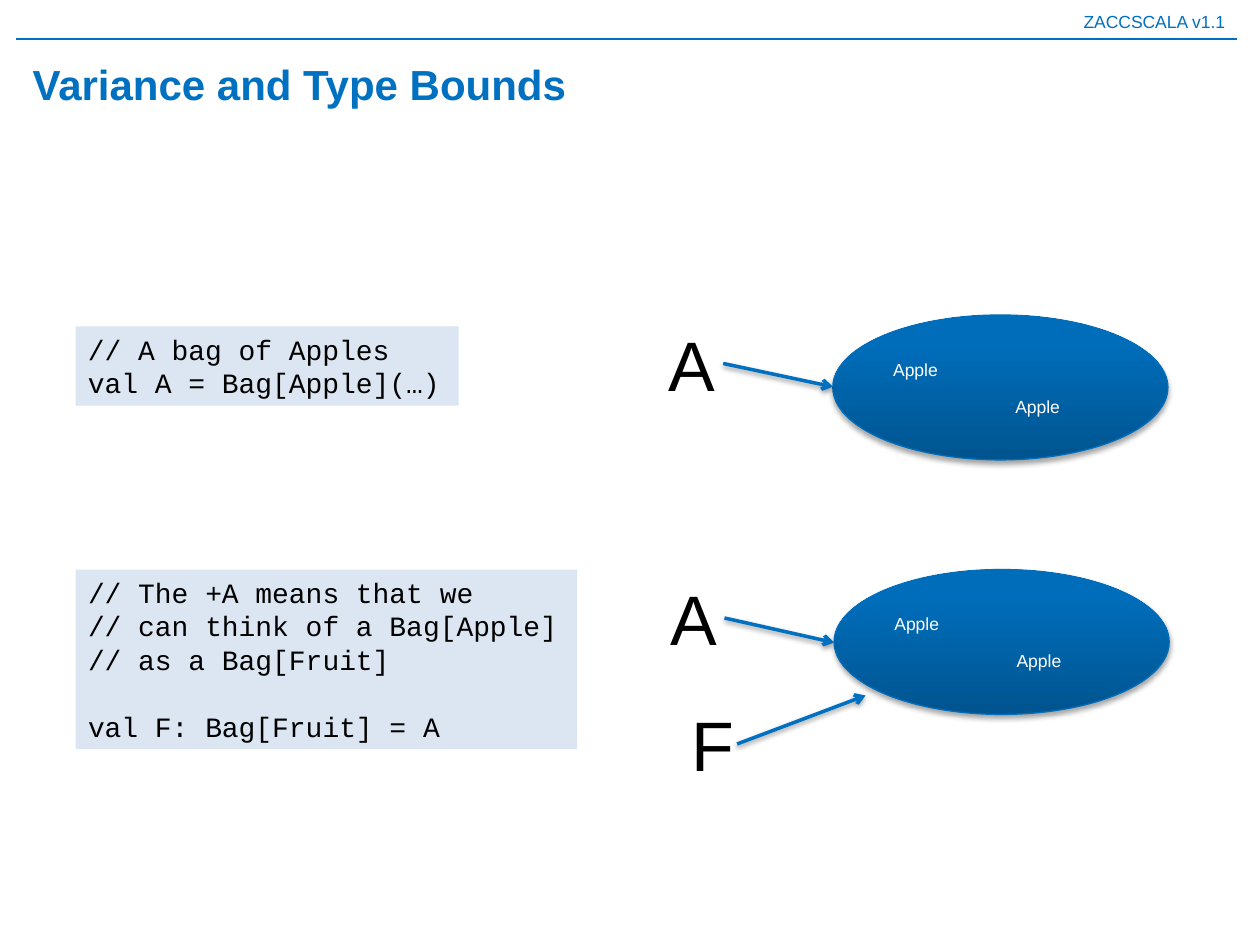
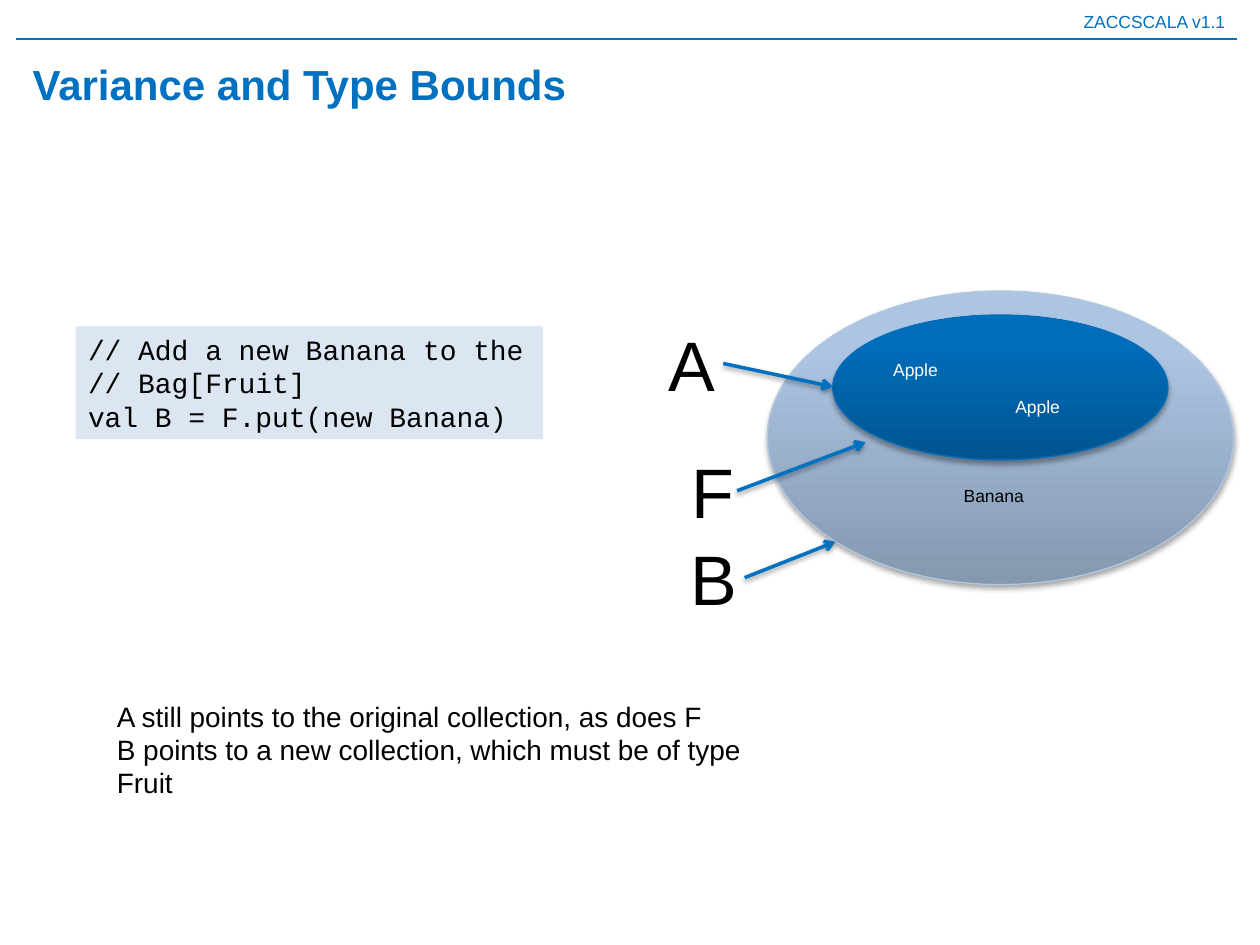
"""Build two slides that explain variance and type bounds with bags of fruit."""
from dataclasses import dataclass

from pptx import Presentation
from pptx.dml.color import RGBColor
from pptx.enum.shapes import MSO_CONNECTOR, MSO_SHAPE
from pptx.enum.text import MSO_ANCHOR, MSO_AUTO_SIZE, PP_ALIGN
from pptx.oxml import parse_xml
from pptx.oxml.ns import nsdecls
from pptx.util import Inches, Pt


@dataclass(frozen=True)
class Theme:
    blue: str = "0070C0"
    black: str = "000000"
    white: str = "FFFFFF"
    code_fill: str = "DCE6F2"
    sans: str = "Arial"
    mono: str = "Courier New"
    title_size: float = 24
    body_size: float = 16
    small_size: float = 10
    letter_size: float = 40
    line_pitch: float = 19.1
    thin: float = 0.75
    thick: float = 2


THEME = Theme()
HEADER = "ZACCSCALA v1.1"
TITLE = "Variance and Type Bounds"
CODE_LEFT = 0.6
LETTER_HEIGHT = 0.77
LETTER_WIDTHS = {"A": 0.53, "B": 0.53, "F": 0.46}

BAG_STYLES = {
    "apples": {"stops": ((0, "00548F"), (80, "006DBA"), (100, "006DBB")), "line": "006EBC"},
    "fruit": {"stops": ((0, "8498AF"), (80, "ACC5E3"), (100, "ACC6E5")), "line": "B3C7E0"},
}
APPLE_BAG_SIZE = (2.66, 1.15)
APPLE_OFFSETS = ((0.38, 0.3), (1.35, 0.59))

SLIDES = [
    {
        "apple_bags": [(6.61, 2.5), (6.62, 4.52)],
        "codes": [
            (2.59, 3.04, ["// A bag of Apples", "val A = Bag[Apple](…)"], 0),
            (4.52, 3.98, ["// The +A means that we", "// can think of a Bag[Apple]",
                          "// as a Bag[Fruit]", "val F: Bag[Fruit] = A"], 1),
        ],
        "pointers": [
            ("A", (5.21, 2.5), (6.61, 3.07)),
            ("A", (5.22, 4.52), (6.62, 5.1)),
            ("F", (5.39, 5.52), (6.87, 5.52)),
        ],
    },
    {
        "fruit_bag": (6.09, 2.31, 3.7, 2.33),
        "banana": (7.55, 3.8, 0.97, 0.4),
        "apple_bags": [(6.61, 2.5)],
        "codes": [
            (2.59, 3.71, ["// Add a new Banana to the", "// Bag[Fruit]",
                          "val B = F.put(new Banana)"], 0),
        ],
        "pointers": [
            ("A", (5.21, 2.5), (6.61, 3.07)),
            ("B", (5.38, 4.2), (6.63, 4.3)),
            ("F", (5.39, 3.51), (6.87, 3.51)),
        ],
        "note": ["A still points to the original collection, as does F",
                 "B points to a new collection, which must be of type Fruit"],
    },
]


def color(value):
    return RGBColor.from_string(value)


def add_text(slide, box, lines, size, ink=THEME.black, font=THEME.sans,
             wrap=False, fill=None, pitch=None):
    shape = slide.shapes.add_textbox(*map(Inches, box))
    frame = shape.text_frame
    frame.word_wrap = wrap
    frame.auto_size = MSO_AUTO_SIZE.SHAPE_TO_FIT_TEXT
    frame.text = "\n".join(lines)
    if fill:
        shape.fill.solid()
        shape.fill.fore_color.rgb = color(fill)
    for paragraph in frame.paragraphs:
        if pitch:
            paragraph.line_spacing = Pt(pitch)
        for run in paragraph.runs:
            run.font.size = Pt(size)
            run.font.name = font
            run.font.color.rgb = color(ink)
    return frame


def add_shadow(shape, opacity, distance):
    properties = shape.element.spPr
    for inherited in properties.findall("{*}effectLst"):
        properties.remove(inherited)
    properties.append(parse_xml(
        f'<a:effectLst {nsdecls("a")}><a:outerShdw blurRad="{Pt(3.1)}" '
        f'dist="{Pt(distance)}" dir="5400000" rotWithShape="0">'
        f'<a:srgbClr val="{THEME.black}"><a:alpha val="{opacity * 1000}"/>'
        '</a:srgbClr></a:outerShdw></a:effectLst>'))


def add_bag(slide, box, kind):
    style = BAG_STYLES[kind]
    shape = slide.shapes.add_shape(MSO_SHAPE.OVAL, *map(Inches, box))
    stops = "".join(f'<a:gs pos="{position * 1000}"><a:srgbClr val="{value}"/></a:gs>'
                    for position, value in style["stops"])
    shape.element.spPr.append(parse_xml(
        f'<a:gradFill {nsdecls("a")} rotWithShape="1"><a:gsLst>{stops}</a:gsLst>'
        '<a:lin ang="16200000" scaled="0"/></a:gradFill>'))
    shape.line.color.rgb = color(style["line"])
    shape.line.width = Pt(THEME.thin)
    add_shadow(shape, 35, 1.8)


def add_apple_bag(slide, left, top):
    add_bag(slide, (left, top, *APPLE_BAG_SIZE), "apples")
    for across, down in APPLE_OFFSETS:
        add_text(slide, (left + across, top + down, 0.85, 0.4), ["Apple"],
                 THEME.small_size, THEME.white)


def add_line(slide, start, end, width):
    connector = slide.shapes.add_connector(
        MSO_CONNECTOR.STRAIGHT, *map(Inches, (*start, *end)))
    connector.line.color.rgb = color(THEME.blue)
    connector.line.width = Pt(width)
    return connector


def add_pointer(slide, letter, corner, target):
    left, top = corner
    width = LETTER_WIDTHS[letter]
    add_text(slide, (left, top, width, LETTER_HEIGHT), [letter], THEME.letter_size)
    start = (left + width, top + LETTER_HEIGHT / 2)
    arrow = add_line(slide, start, target, THEME.thick)
    arrow.line._get_or_add_ln().append(
        parse_xml(f'<a:tailEnd {nsdecls("a")} type="arrow"/>'))
    add_shadow(arrow, 38, 1.6)


def add_code(slide, top, width, lines, gap_lines):
    rows = len(lines) + gap_lines
    height = 0.1 + rows * THEME.line_pitch / 72
    frame = add_text(slide, (CODE_LEFT, top, width, height), lines, THEME.body_size,
                     font=THEME.mono, fill=THEME.code_fill, pitch=THEME.line_pitch)
    if gap_lines:
        frame.paragraphs[-1].space_before = Pt(gap_lines * THEME.line_pitch)


def add_frame(slide):
    header = add_text(slide, (0, 0.04, 9.82, 0.27), [HEADER], THEME.small_size,
                      THEME.blue, wrap=True)
    header.paragraphs[0].alignment = PP_ALIGN.RIGHT
    rule = add_line(slide, (0.13, 0.31), (9.82, 0.31), THEME.thin)
    rule.element.spPr.append(parse_xml(f'<a:effectLst {nsdecls("a")}/>'))
    title = add_text(slide, (0.16, 0.39, 9.61, 0.55), [TITLE], THEME.title_size,
                     THEME.blue, wrap=True)
    title.auto_size = MSO_AUTO_SIZE.NONE
    title.vertical_anchor = MSO_ANCHOR.MIDDLE
    title.paragraphs[0].space_before = Pt(THEME.title_size * 0.2)
    title.paragraphs[0].runs[0].font.bold = True


def build_slide(presentation, content):
    slide = presentation.slides.add_slide(presentation.slide_layouts[6])
    add_frame(slide)
    if "fruit_bag" in content:
        add_bag(slide, content["fruit_bag"], "fruit")
        add_text(slide, content["banana"], ["Banana"], THEME.small_size)
    for corner in content["apple_bags"]:
        add_apple_bag(slide, *corner)
    for code in content["codes"]:
        add_code(slide, *code)
    if "note" in content:
        add_text(slide, (0.83, 5.5, 5.26, 1.18), content["note"], THEME.body_size,
                 wrap=True, fill=THEME.white, pitch=THEME.line_pitch)
    for pointer in content["pointers"]:
        add_pointer(slide, *pointer)


def main():
    presentation = Presentation()
    presentation.slide_width, presentation.slide_height = Inches(10), Inches(7.5)
    for content in SLIDES:
        build_slide(presentation, content)
    presentation.save("out.pptx")


if __name__ == "__main__":
    main()
